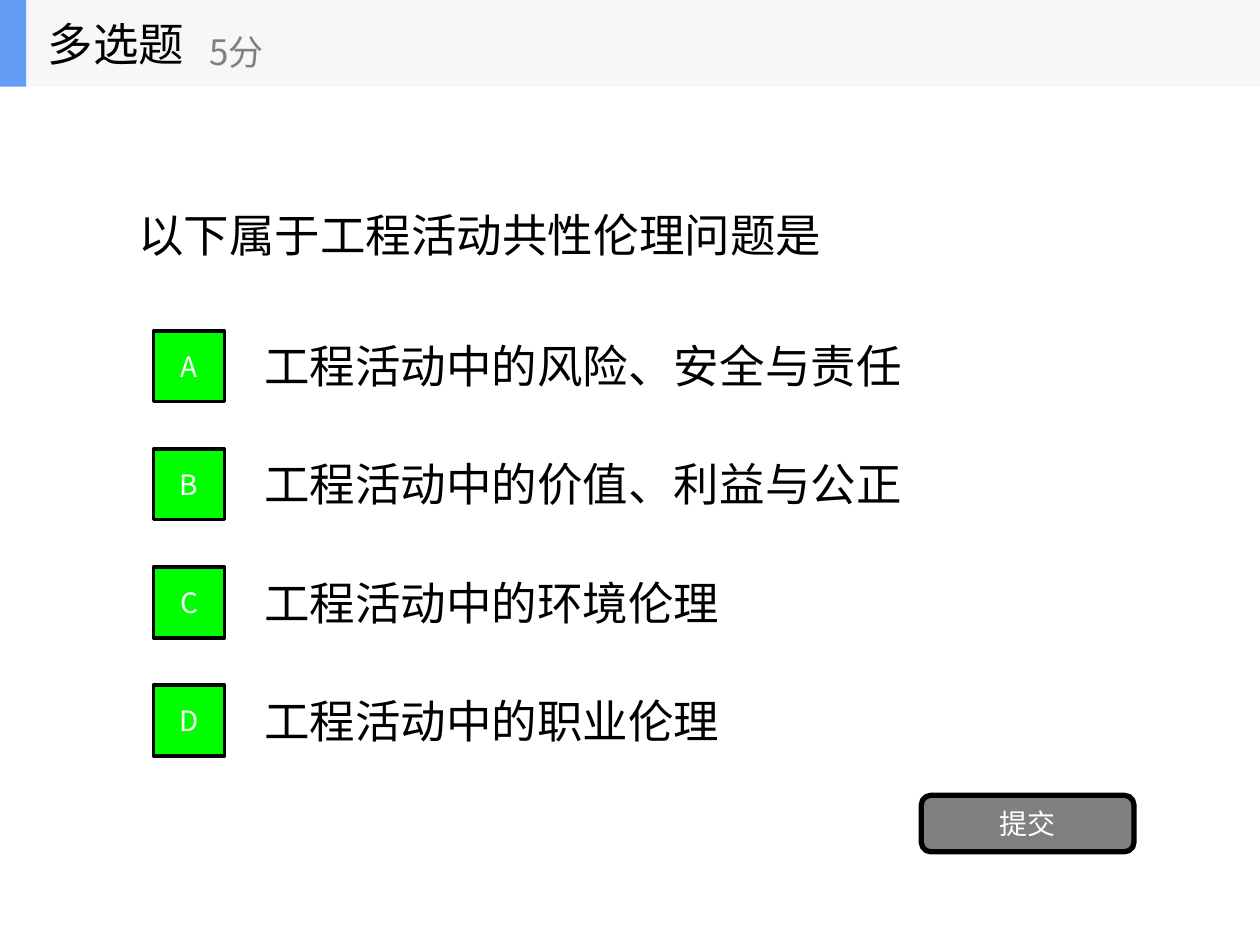
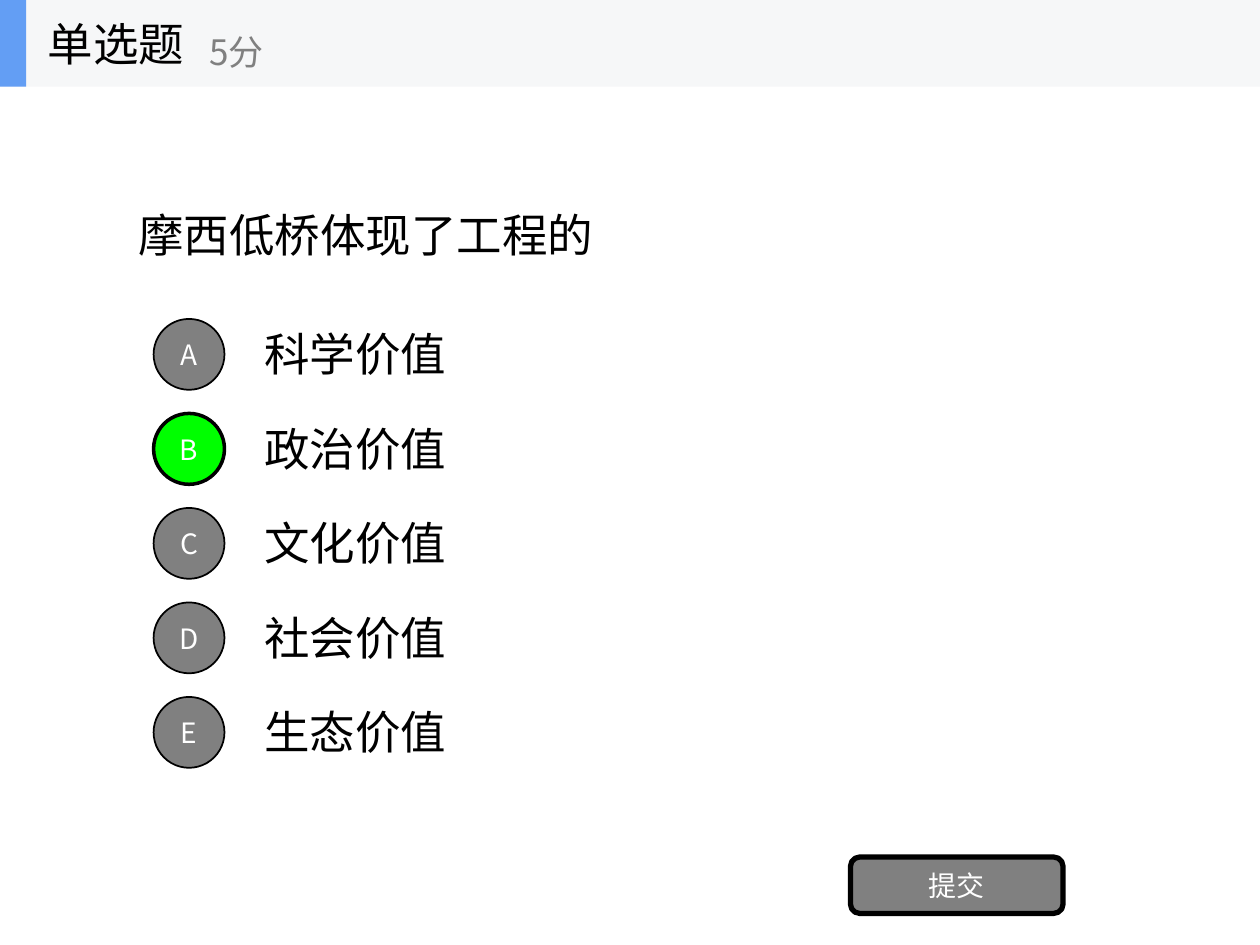
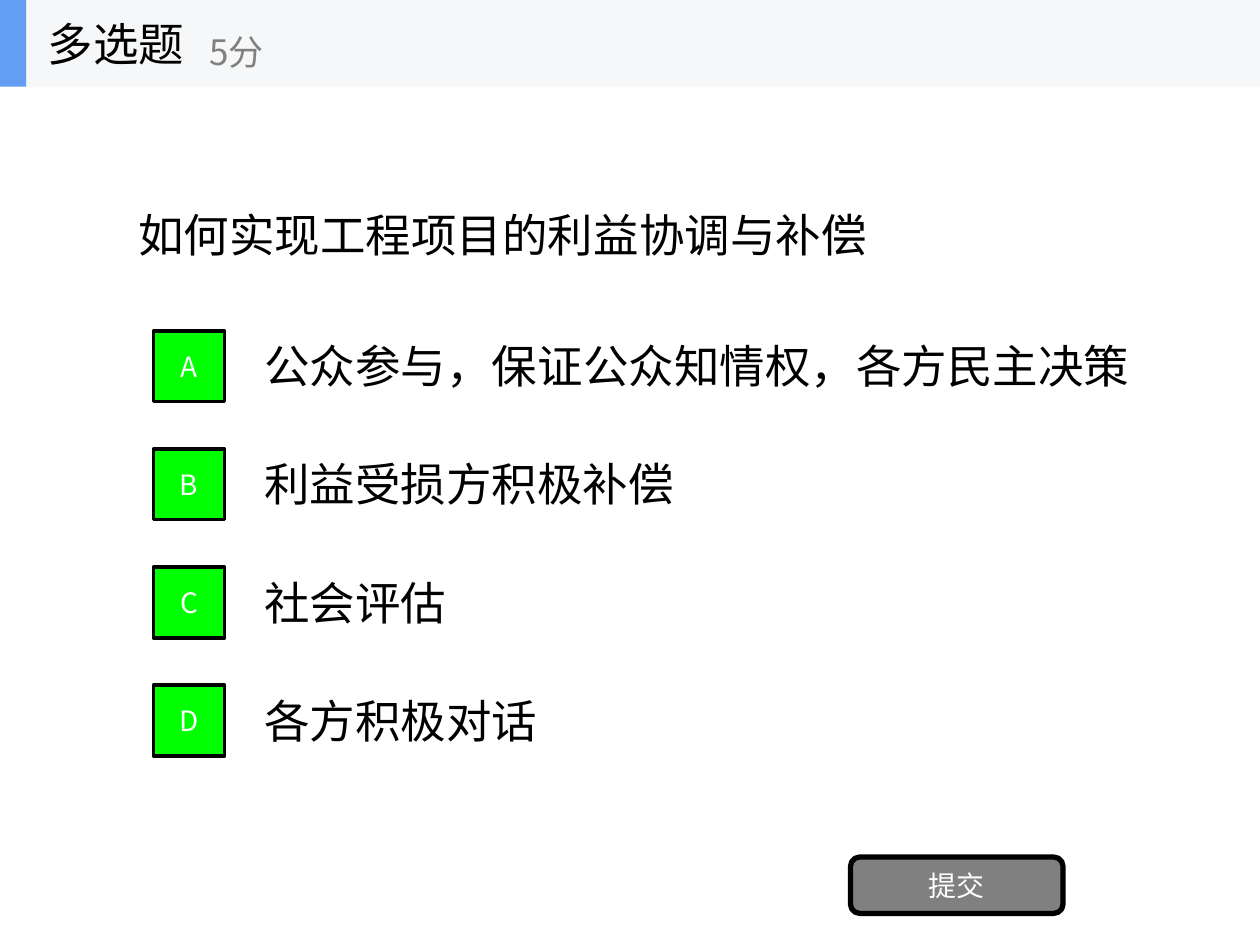
"""Build three quiz slides with a shared header, lettered options and a submit button."""
from lxml.etree import SubElement
from pptx import Presentation
from pptx.dml.color import RGBColor
from pptx.enum.shapes import MSO_SHAPE as Shape
from pptx.enum.text import MSO_ANCHOR as Anchor, PP_ALIGN as Align
from pptx.oxml.ns import qn
from pptx.util import Pt

EMU_PER_PX = 9525
SLIDE_WIDTH, SLIDE_HEIGHT = 960, 720
FONT = "Noto Sans CJK SC"
BLACK = RGBColor(0x00, 0x00, 0x00)
WHITE = RGBColor(0xFF, 0xFF, 0xFF)
GREY = RGBColor(0x80, 0x80, 0x80)
GREEN = RGBColor(0x00, 0xFF, 0x00)
BLUE = RGBColor(0x63, 0x9E, 0xF4)
BAND = RGBColor(0xF6, 0xF7, 0xF8)

HEADER_HEIGHT = 66
MARKER_SIZE = 54
OPTION_HEIGHT = 67
OPTION_WIDTH = 672
WIDE_OPTION_WIDTH = 714

BODY = {"size": Pt(26), "color": BLACK}
POINTS = {"size": Pt(20), "color": GREY}
LABEL = {"size": Pt(16), "color": WHITE}

MULTIPLE = {"title": "多选题", "marker": Shape.RECTANGLE, "top": 245, "pitch": 90}
SINGLE = {"title": "单选题", "marker": Shape.OVAL, "top": 236, "pitch": 72}

QUIZZES = [
    {
        "kind": MULTIPLE,
        "question": "以下属于工程活动共性伦理问题是",
        "options": [
            "工程活动中的风险、安全与责任",
            "工程活动中的价值、利益与公正",
            "工程活动中的环境伦理",
            "工程活动中的职业伦理",
        ],
        "answers": "ABCD",
        "button": (702, 606),
    },
    {
        "kind": SINGLE,
        "question": "摩西低桥体现了工程的",
        "options": ["科学价值", "政治价值", "文化价值", "社会价值", "生态价值"],
        "answers": "B",
        "button": (648, 653),
    },
    {
        "kind": MULTIPLE,
        "question": "如何实现工程项目的利益协调与补偿",
        "options": [
            "公众参与，保证公众知情权，各方民主决策",
            "利益受损方积极补偿",
            "社会评估",
            "各方积极对话",
        ],
        "answers": "ABCD",
        "button": (648, 653),
    },
]


def px(*lengths):
    """Turn pixel lengths into EMU."""
    return [length * EMU_PER_PX for length in lengths]


def write_text(shape, text, style, align=Align.LEFT, wrap=True):
    """Put one formatted, vertically centred line of text in a shape."""
    frame = shape.text_frame
    for name, value in {"word_wrap": wrap, "vertical_anchor": Anchor.MIDDLE}.items():
        setattr(frame, name, value)
    paragraph = frame.paragraphs[0]
    paragraph.alignment = align
    run = paragraph.add_run()
    run.text = text
    for name, value in {"size": style["size"], "name": FONT}.items():
        setattr(run.font, name, value)
    run.font.color.rgb = style["color"]
    SubElement(run.font._element, qn("a:ea"), typeface=FONT)


def add_text(shapes, box, text, style, wrap=True):
    """Add a text box."""
    write_text(shapes.add_textbox(*px(*box)), text, style, wrap=wrap)


def add_block(shapes, kind, box, fill, line_width=0, label=""):
    """Add a filled shape with an optional black outline and centred label."""
    shape = shapes.add_shape(kind, *px(*box))
    shape.shadow.inherit = False
    shape.fill.solid()
    shape.fill.fore_color.rgb = fill
    if line_width:
        shape.line.color.rgb = BLACK
        shape.line.width = Pt(line_width)
    else:
        shape.line.fill.background()
    if label:
        write_text(shape, label, LABEL, Align.CENTER)


def add_header(slide, title):
    """Add the grouped title band with the question type and its points."""
    shapes = slide.shapes.add_group_shape().shapes
    add_block(shapes, Shape.RECTANGLE, (0, 0, SLIDE_WIDTH, HEADER_HEIGHT), BAND)
    add_block(shapes, Shape.RECTANGLE, (0, 0, 20, HEADER_HEIGHT), BLUE)
    add_text(shapes, (27, 0, 200, HEADER_HEIGHT), title, BODY, wrap=False)
    add_text(shapes, (150, 12, 240, 54), "5分", POINTS, wrap=False)


def add_option(slide, kind, index, text, answers):
    """Add one option with its lettered marker, green when it is an answer."""
    letter = "ABCDE"[index]
    top = kind["top"] + index * kind["pitch"]
    width = WIDE_OPTION_WIDTH if len(text) > 16 else OPTION_WIDTH
    add_text(slide.shapes, (192, top, width, OPTION_HEIGHT), text, BODY)
    fill, line_width = (GREEN, 2) if letter in answers else (GREY, 1)
    marker_box = (117, top + 7, MARKER_SIZE, MARKER_SIZE)
    add_block(slide.shapes, kind["marker"], marker_box, fill, line_width, letter)


def add_quiz(presentation, quiz):
    """Add one quiz slide."""
    slide = presentation.slides.add_slide(presentation.slide_layouts[6])
    add_text(slide.shapes, (96, HEADER_HEIGHT, 768, 225), quiz["question"], BODY)
    for index, text in enumerate(quiz["options"]):
        add_option(slide, quiz["kind"], index, text, quiz["answers"])
    button_box = (*quiz["button"], 162, 43)
    add_block(slide.shapes, Shape.ROUNDED_RECTANGLE, button_box, GREY, 3, "提交")
    add_header(slide, quiz["kind"]["title"])


def main():
    """Build and save the presentation."""
    presentation = Presentation()
    presentation.slide_width, presentation.slide_height = px(SLIDE_WIDTH, SLIDE_HEIGHT)
    for quiz in QUIZZES:
        add_quiz(presentation, quiz)
    presentation.save("out.pptx")


if __name__ == "__main__":
    main()
